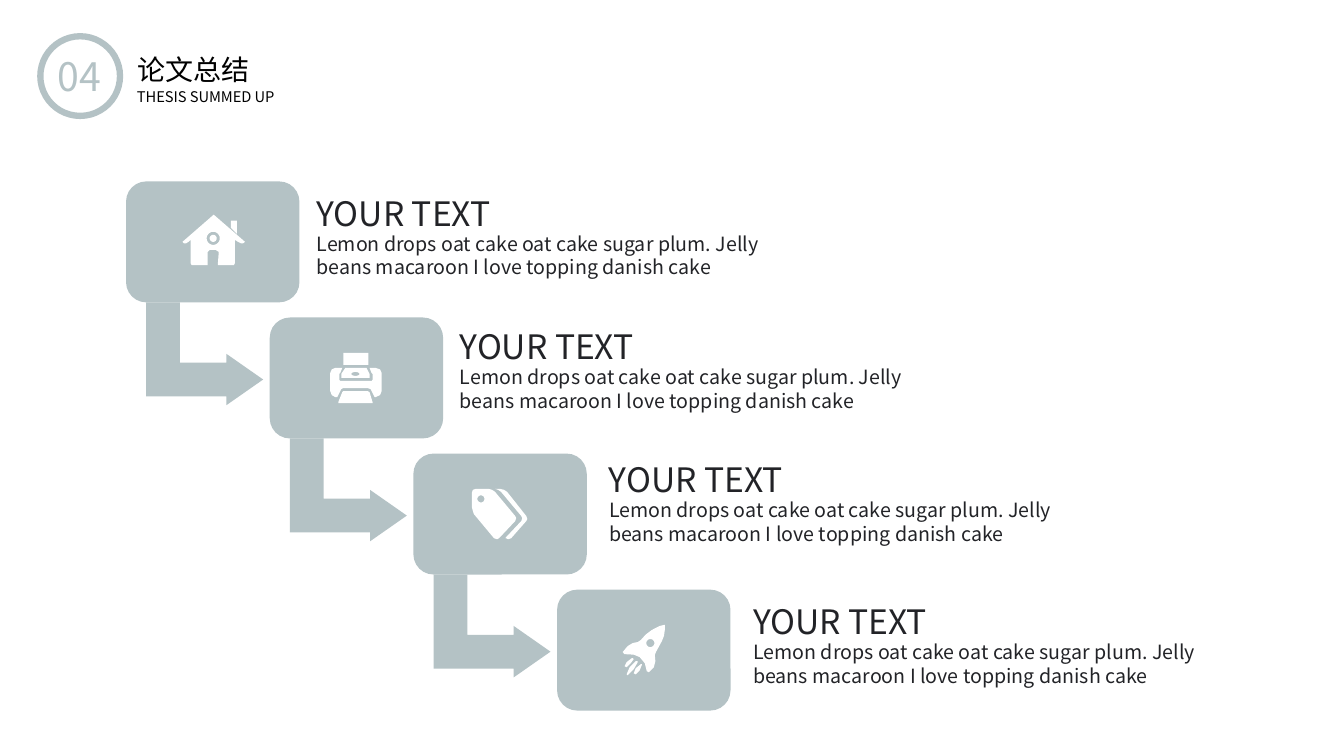
import math
from dataclasses import dataclass

import pptx
import pptx.dml.color
import pptx.enum.shapes
import pptx.enum.text
import pptx.util

Inches = pptx.util.Inches
SHAPE = pptx.enum.shapes.MSO_SHAPE


@dataclass(frozen=True)
class Theme:
    font: str = "Noto Sans CJK SC"
    accent: str = "B4C2C5"
    white: str = "FFFFFF"
    black: str = "000000"
    ink: str = "222327"
    number_size: float = 28
    title_size: float = 20
    subtitle_size: float = 10.5
    heading_size: float = 24
    detail_size: float = 14


THEME = Theme()
DETAIL = ("Lemon drops oat cake oat cake sugar plum. Jelly beans macaroon "
          "I love topping danish cake")

# Step grid in inches
FIRST_LEFT, FIRST_TOP = 1.25, 1.8
STEP_X, STEP_Y = 1.425, 1.35
CARD_W, CARD_H = 1.72, 1.2
TEXT_POSITIONS = [(3.14, 1.86), (4.56, 3.18), (6.04, 4.5), (7.47, 5.91)]


def round_outline(cx, cy, rx, ry, count=24):
    angles = [2 * math.pi * i / count for i in range(count)]
    return [(cx + rx * math.cos(a), cy + ry * math.sin(a)) for a in angles]


# Icon outlines in hundredths of an inch; an inner outline cuts a hole
HOUSE = [
    [(31, 0), (0, 27), (1.5, 28.5), (3.5, 28.5), (6, 27), (8, 25), (8, 48),
     (9, 50), (25, 50), (25, 37), (27, 35), (33, 35), (36, 37), (35, 50),
     (51, 50), (52, 48), (52, 25), (55, 27), (58, 28.5), (60, 28.5), (62, 27)],
    round_outline(30.5, 23.5, 6.5, 6.5),
]
CHIMNEY = [[(54, 19), (54, 6), (48, 6), (48, 13)]]
HOUSE_WINDOW = [round_outline(30.5, 23.5, 3.5, 3.5)]
PRINTER = [
    [(13, 0), (38, 0), (38, 12), (13, 12)],
    [(13, 38), (37, 38), (39, 39), (42, 49), (42, 50), (8, 50), (8, 49), (12, 39)],
    [(11, 21), (15, 15), (36, 15), (39, 21), (39, 25), (11, 25)],
    round_outline(25, 21, 4, 2),
    [(45, 15), (39, 15), (41, 20), (42, 21), (42, 27), (41, 28), (10, 28),
     (9, 27), (9, 21), (10, 20), (12, 15), (5, 15), (1.5, 16.5), (0, 20),
     (0, 38), (1.5, 42), (5, 44), (7, 44), (10, 38), (11, 36), (13, 35),
     (37, 35), (40, 36), (41, 38), (44, 44), (45, 44), (49.5, 42), (51, 38),
     (51, 20), (49.5, 16.5)],
]
TAGS = [
    [(43, 27), (44, 29), (43, 32), (27, 49), (25, 50), (22, 49), (2, 25),
     (1, 22), (0, 18), (0, 4), (1, 1), (4, 0), (17, 0), (20, 1), (23, 3)],
    round_outline(9, 10, 3.5, 3.5),
    [(54, 27), (55, 30), (54, 32), (39, 49), (36, 50), (34, 49), (33, 49),
     (49, 32), (50, 29), (49, 27), (29, 3), (26, 1), (23, 0), (28, 0),
     (32, 1), (35, 3)],
]
ROCKET = [
    [(19, 39), (19, 40), (17, 45), (13, 49), (11, 48), (13, 43), (18, 39)],
    [(15, 36), (15, 37), (11, 44), (5, 50), (4, 49), (7, 42), (13, 36)],
    [(10, 33), (11, 34), (8, 38), (4, 42), (2, 41), (4, 37), (9, 33)],
    [(41, 0), (42, 0), (42, 4), (41, 11), (39, 16), (33, 27), (32, 30),
     (32.5, 36), (31, 42), (26, 47), (24, 46), (22, 38), (17, 32), (11, 29.5),
     (2, 29), (0, 27), (5, 21), (10, 18), (15, 17), (18, 15), (23, 9.5),
     (29, 5), (37, 1)],
    round_outline(27.5, 18, 4, 4),
]
# Each icon: offset inside its card, then its parts
ICONS = [
    ((0.56, 0.33), [HOUSE, CHIMNEY, HOUSE_WINDOW]),
    ((0.6, 0.35), [PRINTER]),
    ((0.58, 0.35), [TAGS]),
    ((0.65, 0.35), [ROCKET]),
]


def color(value):
    return pptx.dml.color.RGBColor.from_string(value)


def paint(shape, fill):
    shape.shadow.inherit = False
    shape.fill.solid()
    shape.fill.fore_color.rgb = color(fill)
    shape.line.fill.background()


def add_filled(slide, kind, left, top, width, height, adjustments):
    shape = slide.shapes.add_shape(
        kind, Inches(left), Inches(top), Inches(width), Inches(height))
    paint(shape, THEME.accent)
    for i, value in enumerate(adjustments):
        shape.adjustments[i] = value
    return shape


def add_icon_part(slide, outlines, left, top):
    scaled = [[(x * 10, y * 10) for x, y in outline] for outline in outlines]
    builder = slide.shapes.build_freeform(*scaled[0][0], scale=Inches(1) / 1000)
    builder.add_line_segments(scaled[0][1:], close=True)
    for outline in scaled[1:]:
        builder.move_to(*outline[0])
        builder.add_line_segments(outline[1:], close=True)
    paint(builder.convert_to_shape(Inches(left), Inches(top)), THEME.white)


def write(box, text, size, ink, margins=(0.1, 0.05), wrap=True):
    frame = box.text_frame
    frame.text = text
    frame.word_wrap = wrap
    frame.auto_size = pptx.enum.text.MSO_AUTO_SIZE.NONE
    frame.vertical_anchor = pptx.enum.text.MSO_ANCHOR.TOP
    frame.margin_left = frame.margin_right = Inches(margins[0])
    frame.margin_top = frame.margin_bottom = Inches(margins[1])
    paragraph = frame.paragraphs[0]
    paragraph.alignment = pptx.enum.text.PP_ALIGN.LEFT
    for run in paragraph.runs:
        run.font.name = THEME.font
        run.font.size = pptx.util.Pt(size)
        run.font.color.rgb = color(ink)
        # East Asian text takes its font from a:ea
        east_asian = run.font._element.makeelement(
            "{http://schemas.openxmlformats.org/drawingml/2006/main}ea",
            {"typeface": THEME.font})
        run.font._element.append(east_asian)


def add_text(slide, left, top, width, height, *args, **options):
    box = slide.shapes.add_textbox(
        Inches(left), Inches(top), Inches(width), Inches(height))
    write(box, *args, **options)


def add_header(slide):
    ring = slide.shapes.add_shape(
        SHAPE.OVAL, Inches(0.4), Inches(0.36), Inches(0.79), Inches(0.79))
    ring.shadow.inherit = False
    ring.fill.background()
    ring.line.color.rgb = color(THEME.accent)
    ring.line.width = pptx.util.Pt(4.5)
    add_text(slide, 0.47, 0.47, 0.66, 0.57, "04", THEME.number_size,
             THEME.accent, wrap=False)

    title = slide.shapes.title
    title.left, title.top = Inches(1.26), Inches(0.47)
    title.width, title.height = Inches(3.83), Inches(0.44)
    write(title, "论文总结", THEME.title_size, THEME.black)
    add_text(slide, 1.26, 0.82, 1.66, 0.28, "THESIS SUMMED UP",
             THEME.subtitle_size, THEME.black)


def add_step(slide, index):
    left, top = FIRST_LEFT + STEP_X * index, FIRST_TOP + STEP_Y * index
    # Arrow to the next card
    if index < len(ICONS) - 1:
        arrow = add_filled(slide, SHAPE.BENT_UP_ARROW, left + 0.27, top + 1.13,
                           1.02, 1.16, [0.328, 0.25, 0.358])
        arrow.rotation = 90
    # Card and icon
    add_filled(slide, SHAPE.ROUNDED_RECTANGLE, left, top, CARD_W, CARD_H, [0.167])
    (dx, dy), parts = ICONS[index]
    for part in parts:
        add_icon_part(slide, part, left + dx, top + dy)
    # Heading and detail
    text_left, text_top = TEXT_POSITIONS[index]
    add_text(slide, text_left, text_top, 3.87, 0.5, "YOUR TEXT",
             THEME.heading_size, THEME.ink, margins=(0, 0.05))
    add_text(slide, text_left, text_top + 0.44, 4.61, 0.57, DETAIL,
             THEME.detail_size, THEME.ink, margins=(0, 0))


def main():
    deck = pptx.Presentation()
    deck.slide_width, deck.slide_height = Inches(13.33), Inches(7.5)
    slide = deck.slides.add_slide(deck.slide_layouts[5])
    add_header(slide)
    for index in range(len(ICONS)):
        add_step(slide, index)
    deck.save("out.pptx")


if __name__ == "__main__":
    main()
